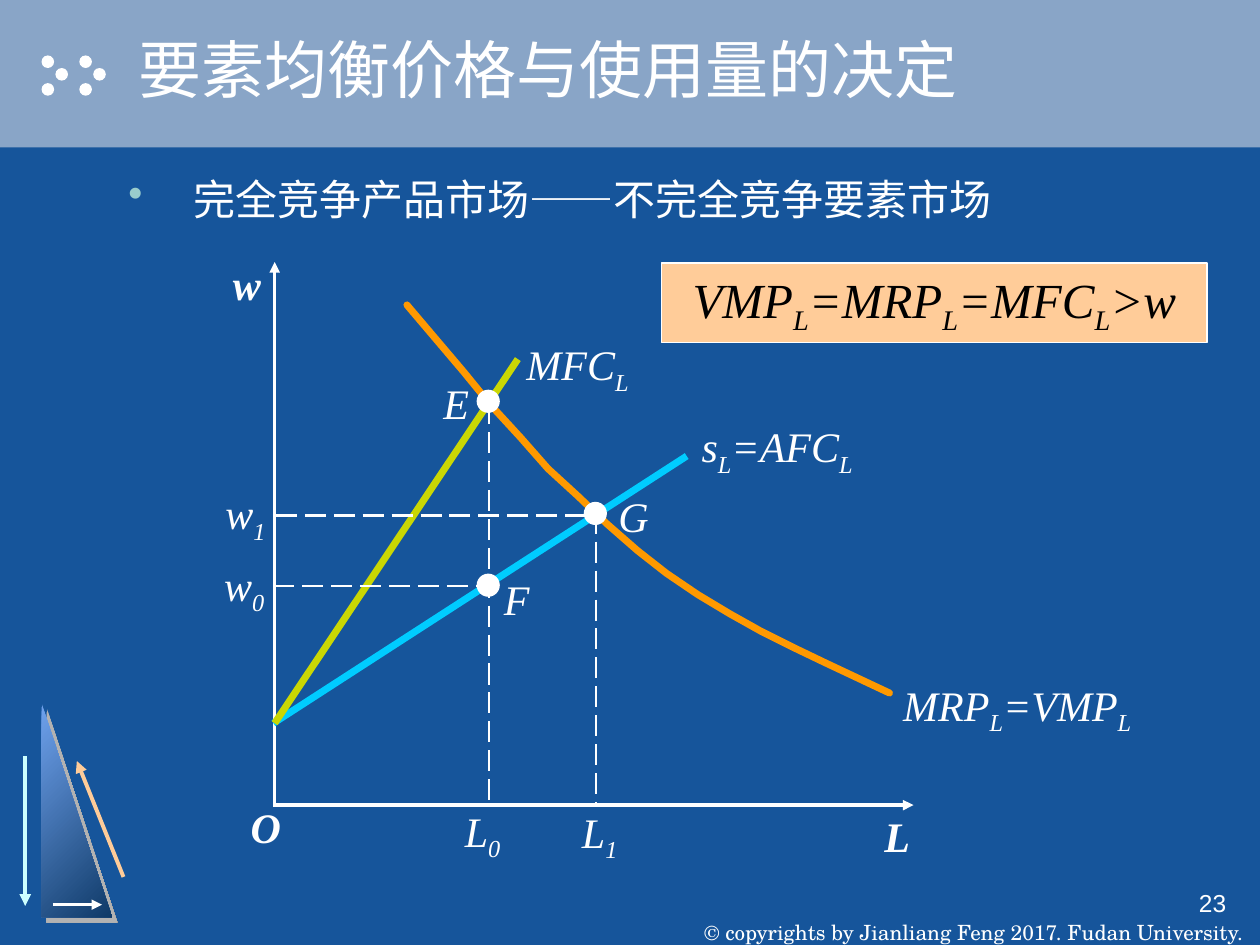
"""Build the slide on factor price and factor use in equilibrium."""
from lxml import etree
from pptx import Presentation
from pptx import util as u
from pptx.dml.color import RGBColor
from pptx.enum import dml, shapes, text
from pptx.oxml.ns import qn

PX = 9144
WHITE = RGBColor(0xFF, 0xFF, 0xFF)
BLACK = RGBColor(0, 0, 0)
NAVY = RGBColor(0x16, 0x55, 0x9B)
BAND = RGBColor(0x89, 0xA5, 0xC7)
SKY = RGBColor(0x6F, 0xA2, 0xED)
DEEP = RGBColor(0x0F, 0x3A, 0x68)
ICE = RGBColor(0xCC, 0xFF, 0xFF)
PEACH = RGBColor(0xFF, 0xCC, 0x99)
ORANGE = RGBColor(0xFF, 0x99, 0x00)
CYAN = RGBColor(0x00, 0xCC, 0xFF)
LIME = RGBColor(0xCA, 0xD7, 0x04)
ROMAN = "Times New Roman"
MATH = {"name": ROMAN, "size": u.Pt(24), "italic": True}

prs = Presentation()
prs.slide_width, prs.slide_height = 1000 * PX, 750 * PX
slide = prs.slides.add_slide(prs.slide_layouts[5])
slide.background.fill.solid()
slide.background.fill.fore_color.rgb = NAVY


def write(shape, wording, font, color=WHITE, align=text.PP_ALIGN.LEFT,
          anchor=text.MSO_ANCHOR.TOP, wrap=False):
    """Fill a shape with one paragraph; the character after _ is a subscript."""
    frame = shape.text_frame
    frame.word_wrap = wrap
    frame.vertical_anchor = anchor
    paragraph = frame.paragraphs[0]
    paragraph.alignment = align
    normal, *rest = wording.split("_")
    pieces = [(normal, False)]
    for part in rest:
        pieces += [(part[0], True), (part[1:], False)]
    for piece, lowered in pieces:
        if piece:
            run = paragraph.add_run()
            run.text = piece
            for key, value in font.items():
                setattr(run.font, key, value)
            run.font.color.rgb = color
            if lowered:
                run.font._element.set("baseline", "-25000")
    return paragraph


def draw_line(start, end, color, width, dash=None, arrow=False):
    """Draw a straight line between two points."""
    line = slide.shapes.add_connector(
        shapes.MSO_CONNECTOR.STRAIGHT, *(v * PX for v in (*start, *end)))
    line.line.color.rgb = color
    line.line.width = u.Pt(width)
    if dash:
        line.line.dash_style = dash
    if arrow:
        etree.SubElement(line.line._get_or_add_ln(), qn("a:tailEnd"), type="triangle")
    etree.SubElement(line._element.spPr, qn("a:effectLst"))


title = slide.shapes.title
title.left, title.top, title.width, title.height = 100 * PX, 0, 900 * PX, 108 * PX
heading = write(title, "要素均衡价格与使用量的决定", {"name": "Arial", "size": u.Pt(36)},
                anchor=text.MSO_ANCHOR.MIDDLE, wrap=True)
effects = etree.Element(qn("a:effectLst"))
shade = etree.SubElement(effects, qn("a:outerShdw"), dist="25400", dir="2700000")
etree.SubElement(shade, qn("a:srgbClr"), val="000000")
heading.runs[0].font._element.find(qn("a:solidFill")).addnext(effects)

band = slide.shapes.add_shape(shapes.MSO_SHAPE.RECTANGLE, 0, 0, 1000 * PX, 117 * PX)
band.shadow.inherit = False
band.fill.solid()
band.fill.fore_color.rgb = BAND
band.line.fill.background()
title._element.addprevious(band._element)

triangle = slide.shapes.add_shape(
    shapes.MSO_SHAPE.RIGHT_TRIANGLE, 33 * PX, 558 * PX, 56 * PX, 170 * PX)
triangle.line.fill.background()
triangle.fill.gradient()
triangle.fill.gradient_angle = 315
for stop, color in zip(triangle.fill.gradient_stops, (SKY, DEEP)):
    stop.color.rgb = color
triangle.shadow.inherit = False
shade = etree.SubElement(triangle._element.spPr.find(qn("a:effectLst")),
                         qn("a:outerShdw"), dist="53340", dir="2700000")
etree.SubElement(shade, qn("a:srgbClr"), val="B2B2B2")

for start, end, color, width in (
    ((20, 600), (20, 719), ICE, 2.25),
    ((98, 696), (61, 604), PEACH, 2.25),
    ((42, 718), (81, 718), WHITE, 1.5),
    ((218, 639), (218, 208), WHITE, 2),
    ((217, 639), (725, 639), WHITE, 2),
):
    draw_line(start, end, color, width, arrow=True)

topic = slide.shapes.add_textbox(92 * PX, 133 * PX, 817 * PX, 60 * PX)
bullet = write(topic, "完全竞争产品市场——不完全竞争要素市场",
               {"name": ROMAN, "size": u.Pt(24)}, wrap=True)
properties = bullet._p.get_or_add_pPr()
properties.set("marL", str(52 * PX))
properties.set("indent", str(-52 * PX))
bullet_color = etree.SubElement(properties, qn("a:buClr"))
etree.SubElement(bullet_color, qn("a:srgbClr"), val="99CCCC")
etree.SubElement(properties, qn("a:buChar"), char="•")

footer = slide.shapes.add_textbox(544 * PX, 700 * PX, 458 * PX, 50 * PX)
footer.text_frame.margin_top = footer.text_frame.margin_bottom = 0
write(footer, "© copyrights by Jianliang Feng 2017. Fudan University.",
      {"name": "TeX Gyre Schola", "size": u.Pt(12)},
      align=text.PP_ALIGN.CENTER, anchor=text.MSO_ANCHOR.BOTTOM)
number = slide.shapes.add_textbox(775 * PX, 700 * PX, 208 * PX, 50 * PX)
write(number, "23", {"name": "Arial", "size": u.Pt(14)},
      align=text.PP_ALIGN.RIGHT, wrap=True)

demand_points = [
    (323, 242), (368, 295), (390, 322), (413, 347), (435, 372),
    (459, 394), (482, 416), (506, 437), (529, 455), (554, 472),
    (579, 487), (604, 501), (630, 514), (655, 526), (706, 550),
]
builder = slide.shapes.build_freeform(*demand_points[0], scale=PX)
builder.add_line_segments(demand_points[1:], close=False)
demand = builder.convert_to_shape()
demand.shadow.inherit = False
demand.fill.background()
demand.line.color.rgb = ORANGE
demand.line.width = u.Pt(4)
demand.line._get_or_add_ln().set("cap", "rnd")

draw_line((217, 574), (545, 362), CYAN, 4)
draw_line((218, 574), (411, 285), LIME, 4)
for start, end in (
    ((388, 320), (388, 639)),
    ((217, 465), (387, 465)),
    ((219, 409), (471, 409)),
    ((473, 407), (473, 639)),
):
    draw_line(start, end, WHITE, 1.5, dash=dml.MSO_LINE.LONG_DASH)

bullet_dots = [(x + dx, y, 10) for x in (33, 63) for dx, y in ((0, 44), (11, 54), (0, 66))]
equilibria = [(379, 310, 17), (379, 456, 17), (464, 399, 17)]
for x, y, size in bullet_dots + equilibria:
    dot = slide.shapes.add_shape(
        shapes.MSO_SHAPE.OVAL, x * PX, y * PX, size * PX, size * PX)
    dot.shadow.inherit = False
    dot.fill.solid()
    dot.fill.fore_color.rgb = WHITE
    if (x, y, size) in equilibria:
        dot.line.color.rgb = WHITE
        dot.line.width = u.Pt(1)
    else:
        dot.line.fill.background()

condition = slide.shapes.add_shape(
    shapes.MSO_SHAPE.RECTANGLE, 525 * PX, 209 * PX, 433 * PX, 63 * PX)
condition.shadow.inherit = False
condition.fill.solid()
condition.fill.fore_color.rgb = PEACH
condition.line.color.rgb = WHITE
condition.line.width = u.Pt(1)
write(condition, "VMP_L=MRP_L=MFC_L>w", {**MATH, "size": u.Pt(28)}, BLACK,
      text.PP_ALIGN.CENTER, wrap=True)

for wording, x, y, width, height, bold, spacing in (
    ("L", 692, 638, 40, 50, True, 1),
    ("w", 175, 200, 42, 50, True, 1),
    ("O", 189, 631, 44, 50, True, 1),
    ("MRP_L=VMP_L", 707, 534, 201, 55, False, 1),
    ("s_L=AFC_L", 547, 320, 150, 65, False, 1.2),
    ("MFC_L", 408, 255, 117, 65, False, 1.2),
    ("L_0", 359, 634, 48, 55, False, 1),
    ("L_1", 452, 635, 48, 55, False, 1),
    ("w_0", 168, 439, 52, 55, False, 1),
    ("w_1", 169, 382, 52, 55, False, 1),
    ("E", 342, 295, 40, 50, False, 1),
    ("F", 390, 450, 40, 50, False, 1),
    ("G", 481, 384, 44, 50, False, 1),
):
    label = slide.shapes.add_textbox(x * PX, y * PX, width * PX, height * PX)
    paragraph = write(label, wording, {**MATH, "bold": bold}, wrap=spacing > 1)
    paragraph.line_spacing = float(spacing)

prs.save("out.pptx")
